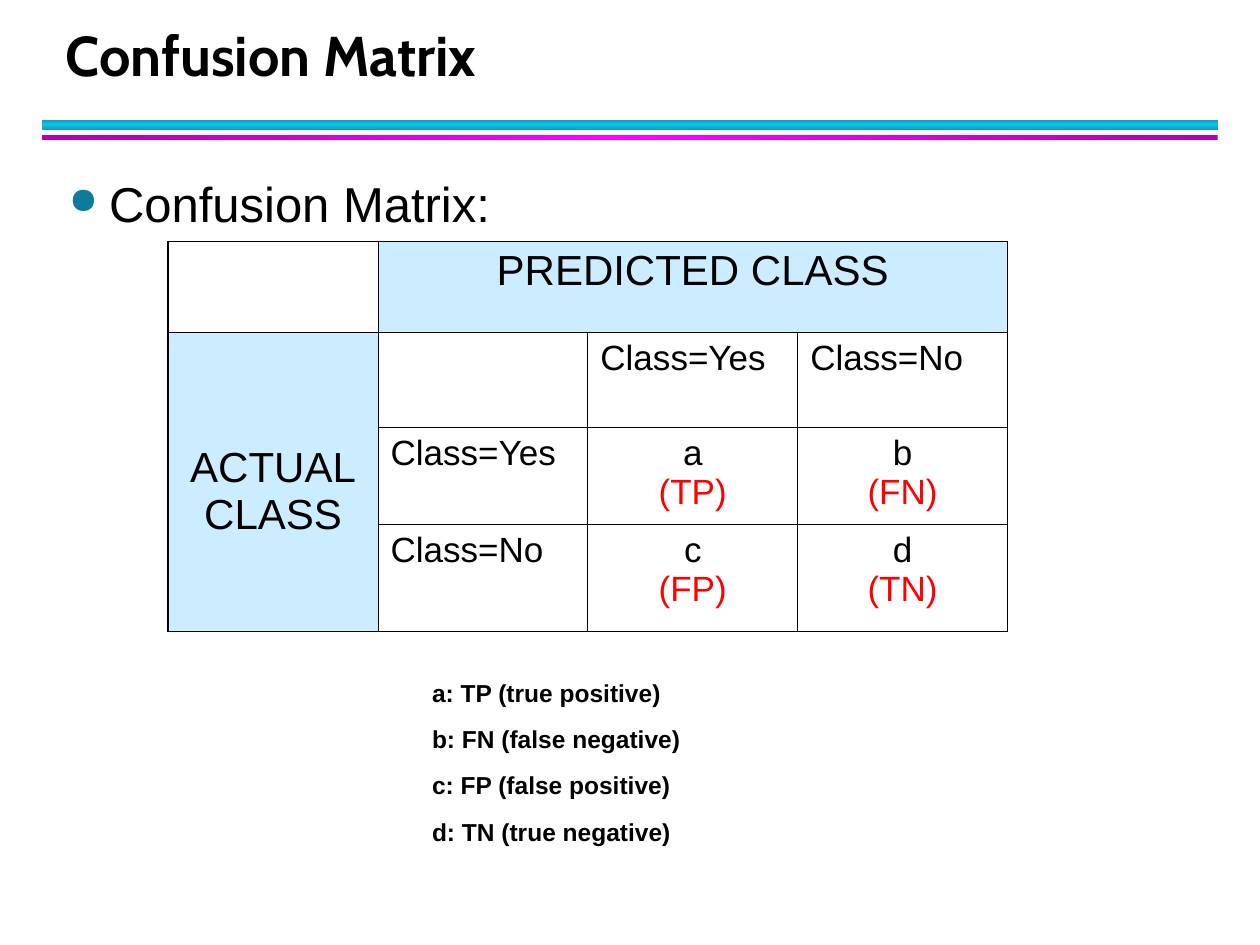
from copy import deepcopy
from lxml import etree
from pptx import Presentation
from pptx.dml.color import RGBColor
from pptx.enum.shapes import MSO_SHAPE
from pptx.enum.text import MSO_ANCHOR, PP_ALIGN
from pptx.oxml.ns import qn
from pptx.util import Cm, Pt

RECT = MSO_SHAPE.RECTANGLE
BOTTOM = MSO_ANCHOR.BOTTOM
LEFT, CENTER = PP_ALIGN.LEFT, PP_ALIGN.CENTER

HUES = {
    "ink": "000000", "red": "FF0000", "head": "CCECFF", "dot": "0C7B9C",
    "teal": "0E9BBA", "cyan": "12C2E9", "plum": "B200B2", "pink": "FF00FF",
}
FORMS = {
    "title": ({"line_spacing": Pt(36)},
              {"name": "Cabin", "size": Pt(32), "bold": True}),
    "body": ({"space_before": Pt(3.5), "space_after": Pt(4)},
             {"name": "Arial", "size": Pt(28)}),
    "key": ({"space_before": Pt(9.6)},
            {"name": "Arial", "size": Pt(14), "bold": True}),
    "head": ({"alignment": CENTER, "space_before": Pt(3), "space_after": Pt(4)},
             {"name": "Arial", "size": Pt(24)}),
    "label": ({"alignment": LEFT, "space_before": Pt(2.5), "space_after": Pt(4)},
              {"name": "Arial", "size": Pt(20)}),
    "count": ({"alignment": CENTER, "space_before": Pt(2.5), "space_after": Pt(4)},
              {"name": "Arial", "size": Pt(20)}),
}


def write(par, form, *lines):
    """Fill a paragraph with (text, hue) lines in a named format."""
    looks, face = FORMS[form]
    for name, value in looks.items():
        setattr(par, name, value)
    for n, (text, hue) in enumerate(lines):
        if n:
            par.add_line_break()
        run = par.add_run()
        run.text = text
        for name, value in face.items():
            setattr(run.font, name, value)
        run.font.color.rgb = RGBColor.from_string(HUES[hue])


def add_text(form, box, lines):
    """Add a text box with one paragraph per line."""
    frame = slide.shapes.add_textbox(*map(Cm, box)).text_frame
    frame.word_wrap = True
    for n, line in enumerate(lines):
        par = frame.add_paragraph() if n else frame.paragraphs[0]
        write(par, form, (line, "ink"))
    return frame


deck = Presentation()
deck.slide_width, deck.slide_height = Cm(25.4), Cm(19.05)
slide = deck.slides.add_slide(deck.slide_layouts[6])

# Double rule under the title
for top, high, angle, edge, core in [
    (2.41, 0.21, 90, "teal", "cyan"),
    (2.72, 0.1, 0, "plum", "pink"),
]:
    bar = slide.shapes.add_shape(RECT, Cm(0.85), Cm(top), Cm(23.7), Cm(high))
    bar.shadow.inherit = False
    bar.line.fill.background()
    bar.fill.gradient()
    bar.fill.gradient_angle = angle
    stops = next(bar._element.spPr.iter(qn("a:gsLst")))
    stops.insert(1, deepcopy(stops[0]))
    for stop, hue, pos in zip(bar.fill.gradient_stops, (edge, core, edge), (0, 0.5, 1)):
        stop.color.rgb = RGBColor.from_string(HUES[hue])
        stop.position = pos

# Title
title = add_text("title", (1.07, 0.43, 23.01, 1.47), ["Confusion Matrix"])
title.vertical_anchor = BOTTOM

# Bulleted lead line
body = add_text("body", (1.14, 3.38, 23.11, 1.5), ["Confusion Matrix:"])
props = body.paragraphs[0]._p.get_or_add_pPr()
props.set("marL", str(Cm(0.81)))
props.set("indent", str(-Cm(0.81)))
tint = etree.SubElement(props, qn("a:buClr"))
etree.SubElement(tint, qn("a:srgbClr"), val=HUES["dot"])
etree.SubElement(props, qn("a:buSzPct"), val="75000")
etree.SubElement(props, qn("a:buChar"), char="●")

# Matrix grid
wide, rows = 4.23, [1.83, 1.92, 1.94, 2.16]
last = 3
grid = slide.shapes.add_table(
    4, 4, Cm(3.39), Cm(4.87), Cm(4 * wide), Cm(sum(rows))).table
grid.first_row = grid.horz_banding = False
for col in grid.columns:
    col.width = Cm(wide)
for row, high in zip(grid.rows, rows):
    row.height = Cm(high)
grid.cell(0, 1).merge(grid.cell(0, 3))
grid.cell(1, 0).merge(grid.cell(3, 0))

# Cell borders, heavier on the outer frame
for r in range(4):
    for c in range(4):
        cell = grid.cell(r, c)
        end_r, end_c = r, c
        if cell.is_merge_origin:
            end_r += cell.span_height - 1
            end_c += cell.span_width - 1
        sides = {"L": c == 0, "R": end_c == last, "T": r == 0, "B": end_r == last}
        tc = cell._tc.get_or_add_tcPr()
        for side, outer in sides.items():
            line = etree.SubElement(
                tc, qn("a:ln" + side), w=str(Pt(1.08 if outer else 0.45)))
            ink = etree.SubElement(line, qn("a:solidFill"))
            etree.SubElement(ink, qn("a:srgbClr"), val=HUES["ink"])
        cell.fill.background()

# Matrix text
cells = {
    (0, 1): ("head", "PREDICTED CLASS"),
    (1, 0): ("head", "ACTUAL", "CLASS"),
    (1, 2): ("label", "Class=Yes"),
    (1, 3): ("label", "Class=No"),
    (2, 1): ("label", "Class=Yes"),
    (3, 1): ("label", "Class=No"),
    (2, 2): ("count", "a", "(TP)"),
    (2, 3): ("count", "b", "(FN)"),
    (3, 2): ("count", "c", "(FP)"),
    (3, 3): ("count", "d", "(TN)"),
}
for spot, (form, *words) in cells.items():
    cell = grid.cell(*spot)
    lines = [(word, "red" if word[0] == "(" else "ink") for word in words]
    write(cell.text_frame.paragraphs[0], form, *lines)
    if form == "head":
        cell.fill.solid()
        cell.fill.fore_color.rgb = RGBColor.from_string(HUES["head"])
grid.cell(1, 0).margin_top = Cm(2.27)

# Key to the letters
add_text("key", (8.46, 13.54, 6.15, 3.56), [
    "a: TP (true positive)",
    "b: FN (false negative)",
    "c: FP (false positive)",
    "d: TN (true negative)",
])

deck.save("out.pptx")
